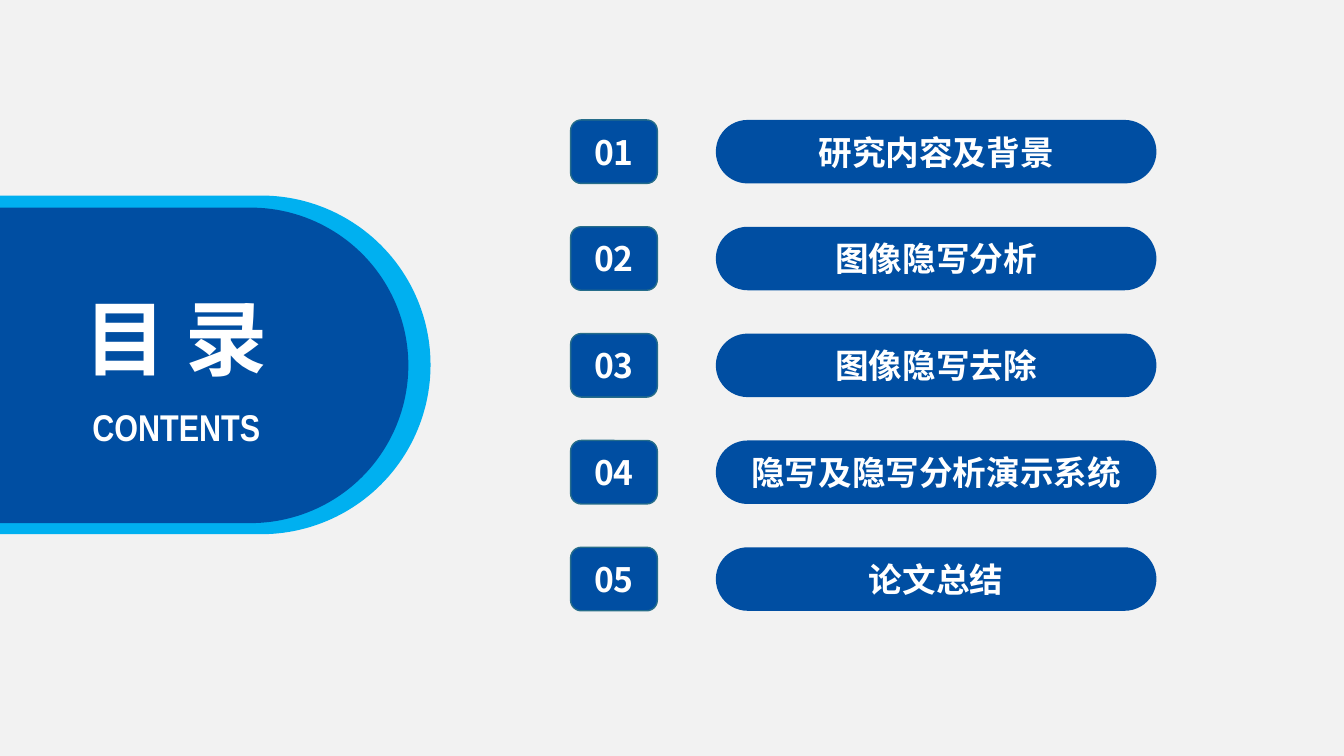
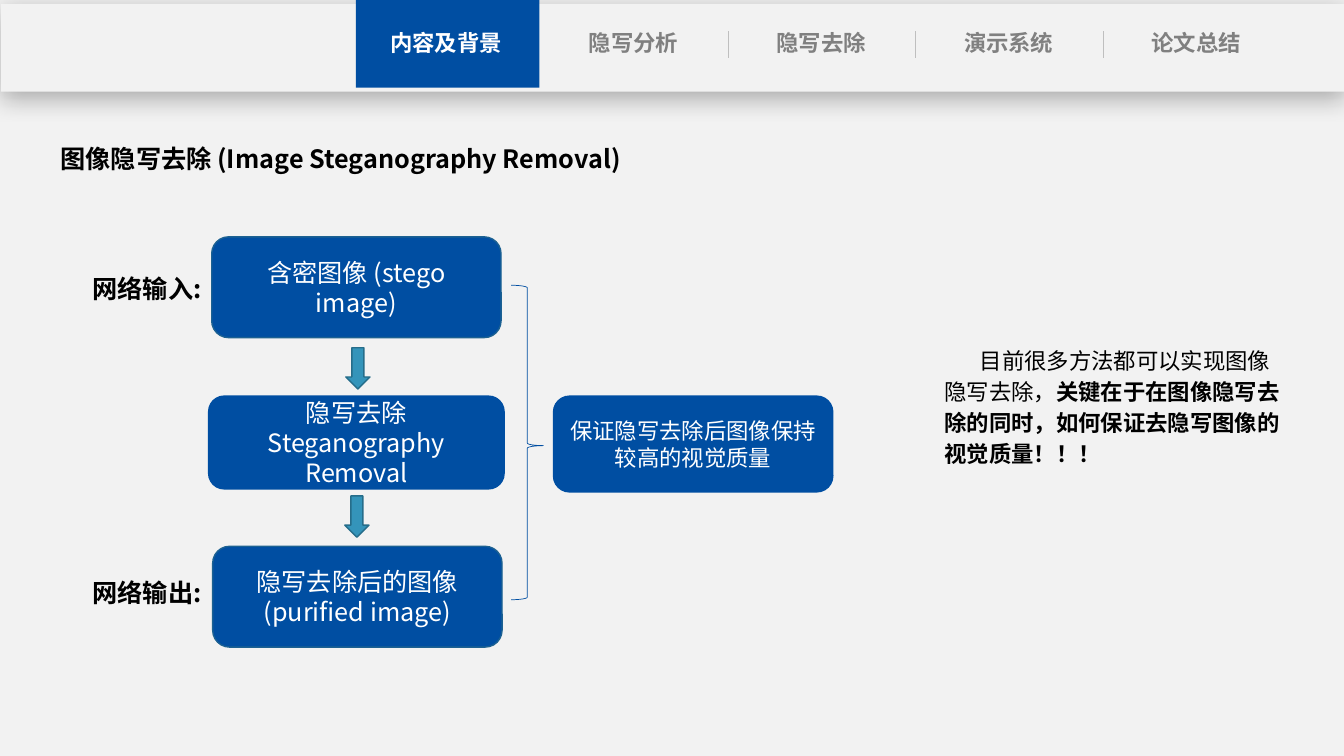
from dataclasses import dataclass

from lxml import etree
from pptx import Presentation
from pptx import util as u
from pptx.dml import color
from pptx.enum import shapes, text
from pptx.oxml import ns

PX = 9144
SHAPE = shapes.MSO_SHAPE
MID = text.PP_ALIGN.CENTER
LEFT = text.PP_ALIGN.LEFT


@dataclass(frozen=True)
class Theme:
    font: str = "Noto Sans CJK SC"
    thin: str = "Arial Narrow"
    paper: str = "F2F2F2"
    blue: str = "004EA2"
    sky: str = "00B0F0"
    teal: str = "3494BA"
    edge: str = "266D8A"
    rim: str = "1C6192"
    white: str = "FFFFFF"
    black: str = "000000"
    gray: str = "808080"
    rule: str = "BFBFBF"
    huge: float = 58.6
    sub: float = 26.6
    big: float = 24
    head: float = 18
    body: float = 16


T = Theme()


def rgb(code):
    return color.RGBColor.from_string(code)


def apply(item, **values):
    for name, value in values.items():
        setattr(item, name, value)


def place(item, box):
    names = ("left", "top", "width", "height")
    apply(item, **{name: n * PX for name, n in zip(names, box)})


def write(frame, paras, size, ink, bold=False, align=MID, font=T.font):
    for i, runs in enumerate(paras):
        para = frame.add_paragraph() if i else frame.paragraphs[0]
        para.alignment = align
        for words, heavy in [(runs, bold)] if isinstance(runs, str) else runs:
            run = para.add_run()
            run.text = words
            apply(run.font, name=font, size=u.Pt(size), bold=heavy)
            run.font.color.rgb = rgb(ink)
            east = etree.SubElement(run.font._element, ns.qn("a:ea"))
            east.set("typeface", font)


def shape(slide, kind, box, fill=None, line=None, width=1, adjust=()):
    item = slide.shapes.add_shape(kind, *(n * PX for n in box))
    item.shadow.inherit = False
    if fill:
        item.fill.solid()
        item.fill.fore_color.rgb = rgb(fill)
    else:
        item.fill.background()
    if line:
        item.line.color.rgb = rgb(line)
        item.line.width = u.Pt(width)
    else:
        item.line.fill.background()
    for i, value in enumerate(adjust):
        item.adjustments[i] = value
    return item


def card(slide, box, paras, size, bold=False, line=None, adjust=()):
    item = shape(slide, SHAPE.ROUNDED_RECTANGLE, box, T.blue, line, adjust=adjust)
    apply(item.text_frame, word_wrap=True, vertical_anchor=text.MSO_ANCHOR.MIDDLE)
    write(item.text_frame, paras, size, T.white, bold)


def label(slide, box, paras, size, ink, wrap=True, side=10, **style):
    item = slide.shapes.add_textbox(*(n * PX for n in box))
    frame = item.text_frame
    apply(frame, word_wrap=wrap, margin_left=side * PX, margin_right=side * PX)
    write(frame, paras, size, ink, **style)
    return frame


def title(slide, box, words, size, ink, align, wrap=True):
    item = slide.shapes.title
    place(item, box)
    apply(item.text_frame, word_wrap=wrap, auto_size=text.MSO_AUTO_SIZE.NONE,
          vertical_anchor=text.MSO_ANCHOR.TOP)
    write(item.text_frame, [words], size, ink, True, align)
    slide.shapes.element.append(item.element)


def rule(slide, x, top, end):
    line = slide.shapes.add_connector(
        shapes.MSO_CONNECTOR.STRAIGHT, x * PX, top * PX, x * PX, end * PX)
    line.line.color.rgb = rgb(T.rule)
    line.line.width = u.Pt(0.5)
    etree.SubElement(line.element.spPr, ns.qn("a:effectLst"))


def shade(item):
    effects = item.element.spPr.find(ns.qn("a:effectLst"))
    cast = etree.SubElement(effects, ns.qn("a:outerShdw"), blurRad=str(u.Pt(18)),
                            dist=str(u.Pt(4)), dir="5400000", algn="t", rotWithShape="0")
    tint = etree.SubElement(cast, ns.qn("a:srgbClr"), val=T.black)
    etree.SubElement(tint, ns.qn("a:alpha"), val="29000")


def tabs(slide, names, active):
    shade(shape(slide, SHAPE.RECTANGLE, (1, 4, 1333, 87), T.paper))
    step = 186
    shape(slide, SHAPE.RECTANGLE, (353 + active * step, 0, 182, 87), T.blue)
    for i, name in enumerate(names):
        ink = T.white if i == active else T.gray
        label(slide, (369 + i * step, 24, 147, 37), [name], T.body, ink, side=0, bold=True)
    for i in range(1, len(names) - 1):
        rule(slide, 536 + i * step, 31, 58)


def agenda(slide):
    shape(slide, SHAPE.ROUNDED_RECTANGLE, (-191, 194, 618, 336), T.sky, adjust=[0.5])
    shape(slide, SHAPE.ROUNDED_RECTANGLE, (-170, 206, 575, 313), T.blue, adjust=[0.5])
    title(slide, (70, 280, 209, 109), "目 录", T.huge, T.white, MID, wrap=False)
    label(slide, (62, 396, 226, 55), ["CONTENTS"], T.sub, T.white,
          wrap=False, bold=True, font=T.thin)
    items = ("研究内容及背景", "图像隐写分析", "图像隐写去除",
             "隐写及隐写分析演示系统", "论文总结")
    for i, item in enumerate(items):
        top = 119 + i * 106
        card(slide, (566, top, 86, 63), [f"{i + 1:02}"], T.big, True, T.edge)
        card(slide, (710, top, 437, 63), [item], T.big, True, adjust=[0.5])


def removal(slide):
    tabs(slide, ("内容及背景", "隐写分析", "隐写去除", "演示系统", "论文总结"), 0)
    title(slide, (50, 137, 659, 40), "图像隐写去除 (Image Steganography Removal)",
          T.head, T.black, LEFT)
    steps = (
        ((210, 235, 287, 100), ["含密图像 (stego image)"], T.head, T.rim),
        ((207, 393, 293, 92), ["隐写去除", "Steganography Removal"], T.head, T.blue),
        ((211, 542, 287, 100), ["隐写去除后的图像", "(purified image)"], T.head, T.rim),
        ((549, 393, 277, 95), ["保证隐写去除后图像保持较高的视觉质量"], T.body, T.blue),
    )
    for box, paras, size, line in steps:
        card(slide, box, paras, size, line=line)
    for x, top in ((343, 345), (342, 492)):
        shape(slide, SHAPE.DOWN_ARROW, (x, top, 24, 41), T.teal, T.edge)
    for top, words in ((266, "网络输入:"), (568, "网络输出:")):
        label(slide, (82, top, 136, 40), [words], T.head, T.black, bold=True, align=LEFT)
    shape(slide, SHAPE.RIGHT_BRACE, (507, 283, 32, 312), line=T.blue, width=0.5,
          adjust=[0.08, 0.51])
    note = [("目前很多方法都可以实现图像隐写去除，", False),
            ("关键在于在图像隐写去除的同时，如何保证去隐写图像的视觉质量！！！", True)]
    frame = label(slide, (927, 336, 363, 133), [note], T.body, T.black, align=LEFT)
    para = frame.paragraphs[0]
    para.line_spacing = u.Pt(22)
    para._p.get_or_add_pPr().set("indent", str(35 * PX))


def main():
    deck = Presentation()
    apply(deck, slide_width=u.Inches(13.33), slide_height=u.Inches(7.5))
    back = deck.slide_master.background.fill
    back.solid()
    back.fore_color.rgb = rgb(T.paper)
    for build in (agenda, removal):
        build(deck.slides.add_slide(deck.slide_layouts[5]))
    deck.save("out.pptx")


if __name__ == "__main__":
    main()
